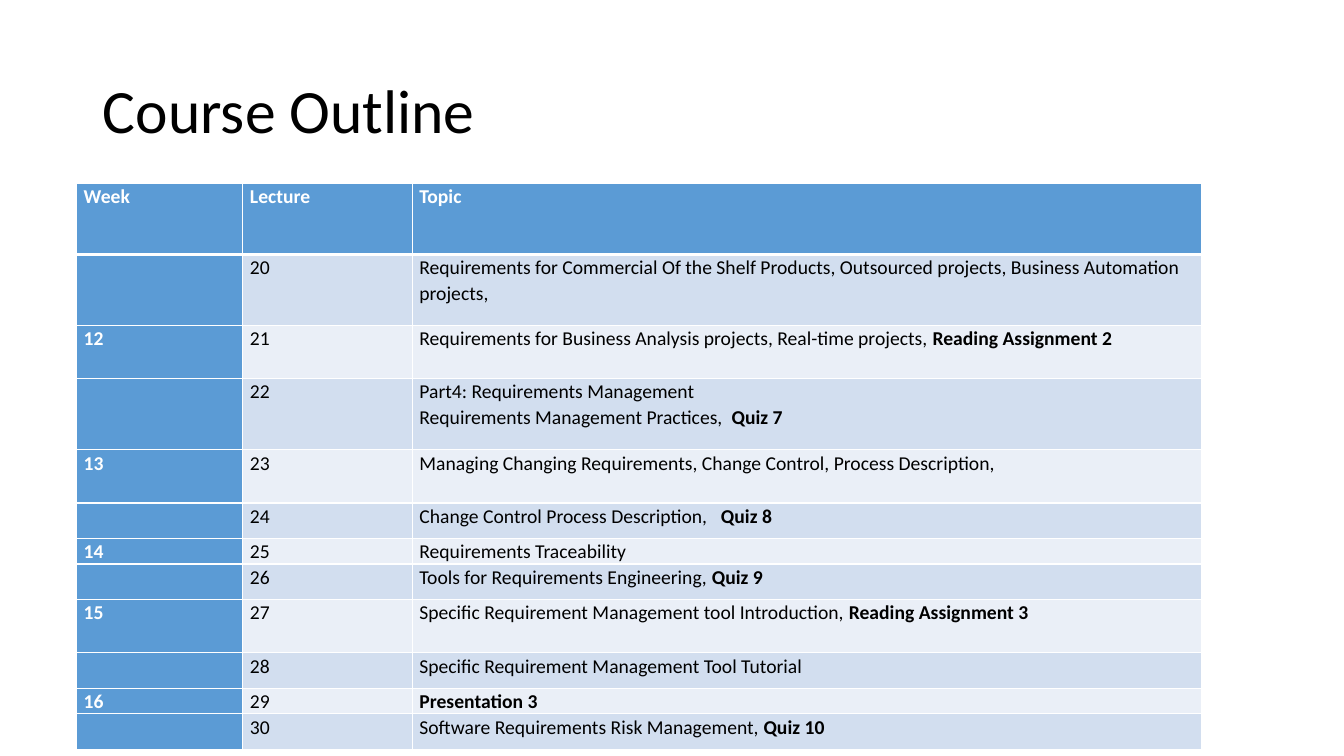
import dataclasses

import lxml.etree
import pptx
import pptx.dml.color
import pptx.enum.text
import pptx.oxml.ns
import pptx.util

Cm = pptx.util.Cm
Pt = pptx.util.Pt


@dataclasses.dataclass(frozen=True)
class Theme:
    font: str = "Calibri"
    title_size: int = 44
    body_size: int = 14
    ink: str = "000000"
    white: str = "FFFFFF"
    accent: str = "5B9BD5"
    bands: tuple = ("EAEFF7", "D2DEEF")
    rule: int = 1
    header_rule: int = 3


THEME = Theme()
COLUMN_WIDTHS = (4.19, 4.27, 19.89)
HEADINGS = ("Week", "Lecture", "Topic")
HEADER_LINES = 4
LECTURES = (
    (4, "", "20", "Requirements for Commercial Of the Shelf Products, "
     "Outsourced projects, Business Automation projects, "),
    (3, "12", "21", "Requirements for Business Analysis projects, "
     "Real-time projects, |Reading Assignment 2"),
    (4, "", "22", "Part4: Requirements Management\n"
     "Requirements Management Practices,  |Quiz 7"),
    (3, "13", "23", "Managing Changing Requirements, Change Control, "
     "Process Description, "),
    (2, "", "24", "Change Control Process Description,   |Quiz 8"),
    (1, "14", "25", "Requirements Traceability"),
    (2, "", "26", "Tools for Requirements Engineering, |Quiz 9"),
    (3, "15", "27", "Specific Requirement Management tool Introduction, "
     "|Reading Assignment 3"),
    (2, "", "28", "Specific Requirement Management Tool Tutorial"),
    (1, "16", "29", "|Presentation 3"),
    (2, "", "30", "Software Requirements Risk Management, |Quiz 10"),
)


def apply(target, values):
    """Set each named attribute of the target."""
    for name, value in values.items():
        setattr(target, name, value)


def format_font(font, size, color, bold=False):
    """Give a font the theme face, a size, a colour and a weight."""
    apply(font, {"name": THEME.font, "size": Pt(size), "bold": bold})
    font.color.rgb = pptx.dml.color.RGBColor.from_string(color)


def set_title(s, text):
    """Fill and place the title placeholder."""
    sp = s.shapes.title
    apply(sp, {"left": Cm(2.34), "top": Cm(1.02),
               "width": Cm(29.21), "height": Cm(3.68)})
    tf = sp.text_frame
    apply(tf, {"text": text, "word_wrap": True,
               "vertical_anchor": pptx.enum.text.MSO_ANCHOR.MIDDLE})
    p = tf.paragraphs[0]
    apply(p, {"alignment": pptx.enum.text.PP_ALIGN.LEFT, "line_spacing": 0.9})
    format_font(p.runs[0].font, THEME.title_size, THEME.ink)


def write_cell(cell, text, color, bold):
    """Write lines of text, with the part after a bar in bold."""
    apply(cell, {"margin_left": Cm(0.18), "margin_right": Cm(0.18),
                 "margin_top": 0, "margin_bottom": 0})
    tf = cell.text_frame
    for i, line in enumerate(text.split("\n")):
        p = tf.add_paragraph() if i else tf.paragraphs[0]
        p.line_spacing = 1.07
        format_font(p.font, THEME.body_size, color, bold)
        plain, _, strong = line.partition("|")
        for part, weight in ((plain, bold), (strong, True)):
            if part:
                r = p.add_run()
                r.text = part
                format_font(r.font, THEME.body_size, color, weight)


def paint_cell(cell, fill, top, bottom):
    """Draw the white borders of a cell and fill it."""
    qn = pptx.oxml.ns.qn
    tc_pr = cell._tc.get_or_add_tcPr()
    widths = {"a:lnL": THEME.rule, "a:lnR": THEME.rule,
              "a:lnT": top, "a:lnB": bottom}
    for tag, width in widths.items():
        ln = lxml.etree.SubElement(tc_pr, qn(tag), w=str(Pt(width)))
        solid = lxml.etree.SubElement(ln, qn("a:solidFill"))
        lxml.etree.SubElement(solid, qn("a:srgbClr"), val=THEME.white)
    cell.fill.solid()
    cell.fill.fore_color.rgb = pptx.dml.color.RGBColor.from_string(fill)


def add_outline(s):
    """Add the table of weeks, lectures and topics."""
    rows = ((HEADER_LINES, *HEADINGS), *LECTURES)
    heights = [int(Cm(1.79) * row[0] / 4) for row in rows]
    table = s.shapes.add_table(
        len(rows), len(HEADINGS), Cm(1.93), Cm(4.62),
        Cm(sum(COLUMN_WIDTHS)), sum(heights)).table
    table.first_col = True
    for column, width in zip(table.columns, COLUMN_WIDTHS):
        column.width = Cm(width)
    for i, (_, *texts) in enumerate(rows):
        table.rows[i].height = heights[i]
        top = THEME.header_rule if i == 1 else THEME.rule
        bottom = THEME.header_rule if i == 0 else THEME.rule
        for j, text in enumerate(texts):
            cell = table.cell(i, j)
            heading = i == 0 or j == 0
            write_cell(cell, text, THEME.white if heading else THEME.ink, heading)
            paint_cell(cell, THEME.accent if heading else THEME.bands[i % 2],
                       top, bottom)


def main():
    """Build the course outline slide."""
    prs = pptx.Presentation()
    apply(prs, {"slide_width": Cm(33.87), "slide_height": Cm(19.05)})
    s = prs.slides.add_slide(prs.slide_layouts[5])
    set_title(s, "Course Outline")
    add_outline(s)
    prs.save("out.pptx")


main()
